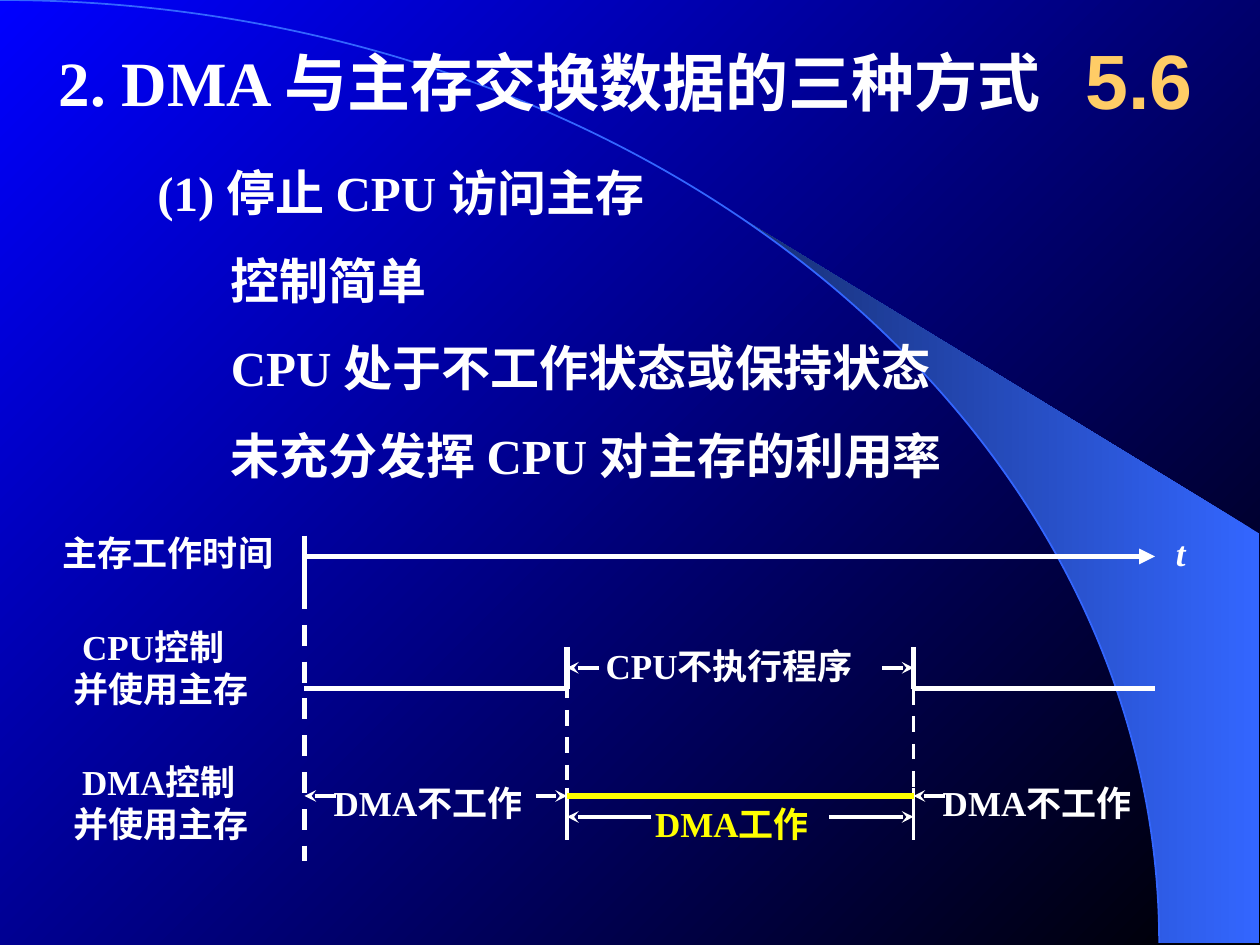
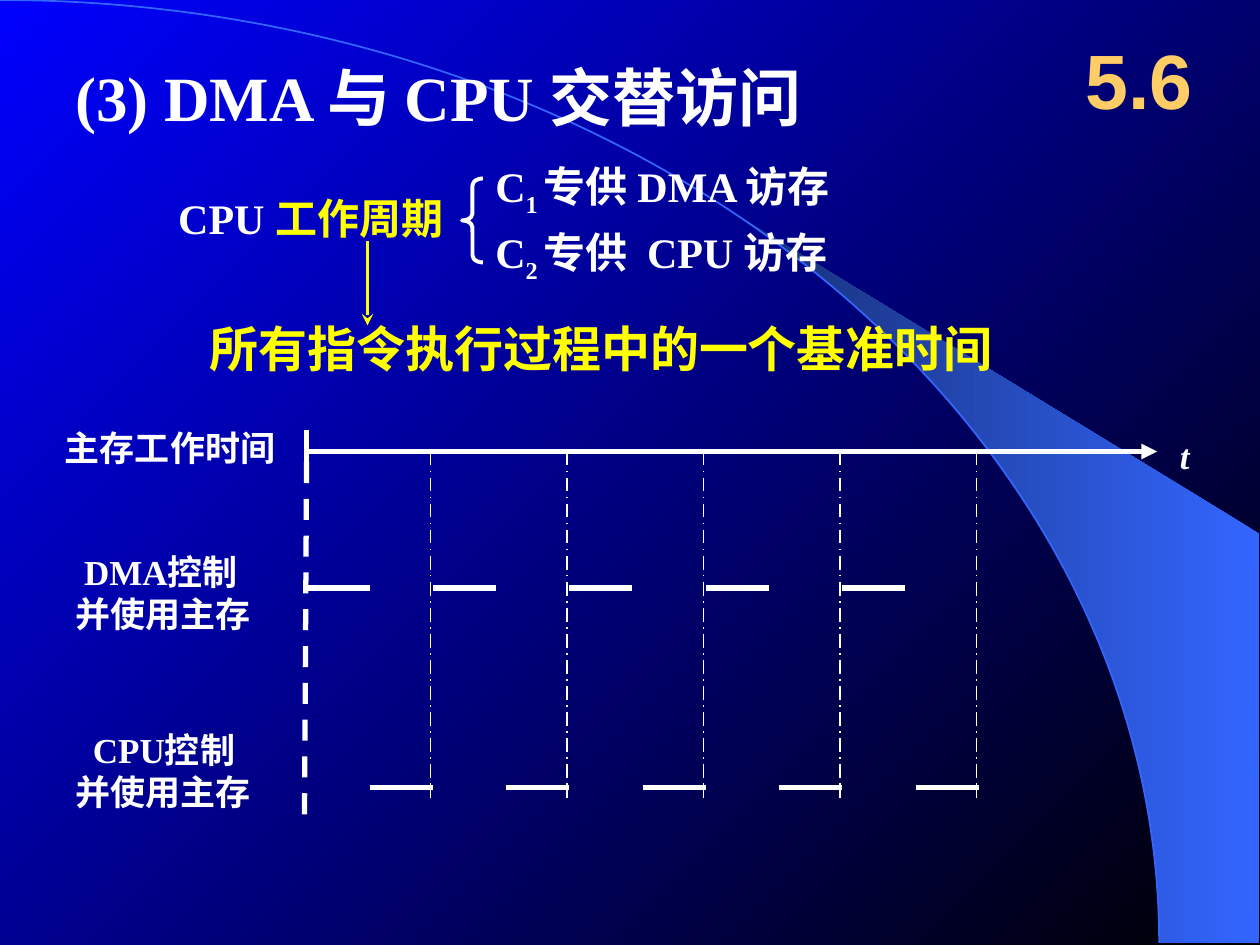
from math import cos, radians, sin

from lxml.etree import SubElement
from pptx import Presentation
from pptx.dml.color import RGBColor
from pptx.enum.dml import MSO_LINE as DASH
from pptx.enum.shapes import MSO_CONNECTOR as CONN, MSO_SHAPE as SHAPE
from pptx.enum.text import MSO_ANCHOR as ANCHOR, MSO_AUTO_SIZE as FIT, PP_ALIGN as ALIGN
from pptx.oxml.ns import qn
from pptx.util import Inches, Pt

WHITE = RGBColor(0xFF, 0xFF, 0xFF)
YELLOW = RGBColor(0xFF, 0xFF, 0x00)
GOLD = RGBColor(0xFF, 0xCC, 0x66)
BLACK = RGBColor(0x00, 0x00, 0x00)
BLUE = RGBColor(0x00, 0x00, 0xFF)
SKY = RGBColor(0x33, 0x66, 0xFF)
NAVY = RGBColor(0x17, 0x2F, 0x75)

COLS, ROWS = 120, 90           # grid of the slide, 12 cells to the inch
ARC_W, ARC_H = 110.4, 89.8     # radii of the background arc
H1, H2, H3, LABEL = 36, 28, 24, 20


class Deck:
    """Holds the style and the current slide; all lengths are grid cells."""

    def __init__(self):
        self.prs = Presentation()
        self.prs.slide_width, self.prs.slide_height = Inches(10), Inches(7.5)
        self.s = None

    def grid(self, *cells):
        """Turn alternating columns and rows into EMU."""
        steps = self.prs.slide_width / COLS, self.prs.slide_height / ROWS
        return [round(c * steps[i % 2]) for i, c in enumerate(cells)]

    def gradient(self, fill, first, last, angle):
        fill.gradient()
        fill.gradient_angle = angle
        for stop, color, place in zip(fill.gradient_stops, (first, last), (0, 1)):
            stop.color.rgb, stop.position = color, place

    def slide(self, section):
        """Start a slide with its background, swoosh and section number."""
        self.s = self.prs.slides.add_slide(self.prs.slide_layouts[6])
        self.gradient(self.s.background.fill, BLACK, BLUE, 135)
        self.swoosh()
        tf = self.text(101, 2, 15, [(section, GOLD)], 44, font="Arial", h=11)
        tf.vertical_anchor = ANCHOR.MIDDLE
        tf.paragraphs[0].alignment = ALIGN.CENTER

    def swoosh(self):
        angles = [radians(39.8 + 50.2 * i / 24) for i in range(25)]
        rim = [(ARC_W * sin(a), ARC_H * (1 - cos(a))) for a in angles]
        pts = [self.grid(*pt) for pt in rim + [(119.9, ARC_H), (119.9, 50.8)]]
        fb = self.s.shapes.build_freeform(*pts[0], scale=1.0)
        fb.add_line_segments(pts[1:], close=True)
        band = fb.convert_to_shape()
        band.shadow.inherit = False
        self.gradient(band.fill, SKY, NAVY, 180)
        band.line.fill.background()
        self.outline(SHAPE.ARC, -ARC_W, 0, 2 * ARC_W, 2 * ARC_H, SKY, 1)

    def outline(self, kind, x, y, w, h, color, width):
        sp = self.s.shapes.add_shape(kind, *self.grid(x, y, w, h))
        sp.shadow.inherit = False
        sp.fill.background()
        sp.line.color.rgb, sp.line.width = color, Pt(width)
        return sp

    def text(self, x, y, w, *paras, wrap=True, indent=0, font="Times New Roman",
             italic=False, h=None):
        """Add a box; paras holds lists of (text, colour, options), then the size."""
        *paras, size = paras
        height = h or size * len(paras) / 5 + 1.2
        sp = self.s.shapes.add_textbox(*self.grid(x, y, w, height))
        tf = sp.text_frame
        tf.word_wrap = wrap
        tf.auto_size = FIT.NONE if h else FIT.SHAPE_TO_FIT_TEXT
        for i, runs in enumerate(paras):
            p = tf.add_paragraph() if i else tf.paragraphs[0]
            if indent and not i:
                p._p.get_or_add_pPr().set("marL", str(Pt(indent)))
            for words, color, *options in runs:
                r = p.add_run()
                r.text = words
                r.font.name, r.font.size = font, Pt(size)
                r.font.bold, r.font.italic = True, italic
                r.font.color.rgb = color
                for name, value in options:
                    r._r.get_or_add_rPr().set(name, value)
        return tf

    def line(self, x1, y1, x2, y2, color=WHITE, width=3.0, dash=None, head=None):
        cn = self.s.shapes.add_connector(CONN.STRAIGHT, *self.grid(x1, y1, x2, y2))
        cn.line.color.rgb, cn.line.width = color, Pt(width)
        if dash:
            cn.line.dash_style = dash
        if head:
            SubElement(cn.line._get_or_add_ln(), qn("a:tailEnd"), type=head)
        SubElement(cn._element.spPr, qn("a:effectLst"))

    def arrow(self, x1, y1, x2, y2, color=WHITE):
        self.line(x1, y1, x2, y2, color, 2.25, head="stealth")

    def label(self, x, y, w, words, color=WHITE, **style):
        self.text(x, y, w, [(words, color)], LABEL, wrap=False, **style)

    def user(self, x, y, name, indent):
        """Label the row of one user of main memory."""
        self.text(x, y, 19.1, [(name + "控制", WHITE)], [("并使用主存", WHITE)],
                  LABEL, wrap=False, indent=indent)

    def time_axis(self, x, y, dash_top, dash_end, t_x, t_y):
        """Draw the memory time axis with its origin mark."""
        self.label(x - 24.2, y - 3, 22.4, "主存工作时间")
        self.line(x, y - 2, x, y + 3)
        self.line(x, y, x + 81, y, head="triangle")
        self.line(x, dash_top, 29, dash_end, dash=DASH.DASH)
        self.label(t_x, t_y, 3.2, "t", italic=True)


def stop_cpu_slide(d):
    d.slide("5.6")
    d.text(4.4, 3.6, 97.7, [("2. DMA 与主存交换数据的三种方式", WHITE)], H1, wrap=False)
    points = ["(1) 停止 CPU 访问主存", "控制简单",
              "CPU 处于不工作状态或保持状态", "未充分发挥 CPU 对主存的利用率"]
    for i, words in enumerate(points):
        d.text(20.8 if i else 13.8, 14.9 + 8.33 * i, 82, [(words, WHITE)], H2)

    # Time axis and row labels
    origin, start, stop, end = 29, 54, 87, 110
    cpu_y, dma_y = 65.6, 75.8
    d.time_axis(origin, 53, 56, 82, 110.8, 50)
    d.user(5.8, 59, "CPU", 5)
    d.user(5.8, 71.8, "DMA", 5)

    # CPU row: runs outside the transfer
    for x1, x2 in ((origin, start), (stop, end)):
        d.line(x1, cpu_y, x2, cpu_y)
    for x, inward, dash_top in ((start, 3, 65), (stop, -3, 63)):
        d.line(x, 61.6, x, cpu_y)
        d.arrow(x + inward, 63.6, x, 63.6)
        d.line(x, dash_top, x, 76, width=2.25, dash=DASH.DASH)
        d.line(x, 75, x, 80, width=2.25)
    d.label(56.5, 60.8, 26.8, "CPU不执行程序")

    # DMA row: works during the transfer
    for x in (30.6, 88.6):
        d.label(x, 73.8, 22, "DMA不工作")
    for x, side in ((origin, 3), (start, -3), (stop, 3)):
        d.arrow(x + side, dma_y, x, dma_y)
    d.line(start, dma_y, stop, dma_y, YELLOW)
    d.label(61.2, dma_y, 17.9, "DMA工作", YELLOW)
    for x, side in ((start, 8), (stop, -8)):
        d.arrow(x + side, 77.8, x, 77.8)


def alternate_slide(d):
    d.slide("5.6")
    d.text(6, 5, 83, [("(3) DMA 与 CPU 交替访问", WHITE)], H1)

    # CPU cycle split in two
    sub = ("baseline", "-25000")
    d.text(15.8, 17.7, 30.2, [("CPU ", WHITE), ("工作周期", YELLOW)], H3)
    d.text(46, 14.7, 53, [("C", WHITE), ("1 ", WHITE, sub), ("专供 DMA 访存", WHITE)], H3)
    d.text(46, 21, 46, [("C", WHITE), ("2 ", WHITE, sub), ("专供", WHITE),
                        (" ", WHITE, ("spc", "550")), ("CPU 访存", WHITE)], H3)
    brace = d.outline(SHAPE.LEFT_BRACE, 44, 17, 2, 8, WHITE, 2.25)
    brace.adjustments[0] = 0.33
    d.text(18.8, 29.7, 91.2, [("所有指令执行过程中的一个基准时间", YELLOW)], H2)
    d.arrow(35, 23, 35, 31, YELLOW)

    # Time axis and row labels
    origin, cycle, half = 29.2, 13, 6
    d.time_axis(origin, 43, 44, 78, 111.2, 40.8)
    d.user(6, 51.8, "DMA", 5)
    d.user(6, 68.8, "CPU", 10)

    # Each cycle: DMA first, then CPU, then a guide line
    for i in range(5):
        dma_x = max(origin, 28.2 + cycle * i)
        cpu_x = 35.2 + cycle * i
        guide_x = 41 + cycle * i
        d.line(dma_x, 56, dma_x + half, 56)
        d.line(cpu_x, 75, cpu_x + half, 75)
        d.line(guide_x, 43, guide_x, 76, width=1, dash=DASH.LONG_DASH_DOT)


def main():
    d = Deck()
    stop_cpu_slide(d)
    alternate_slide(d)
    d.prs.save("out.pptx")


if __name__ == "__main__":
    main()
